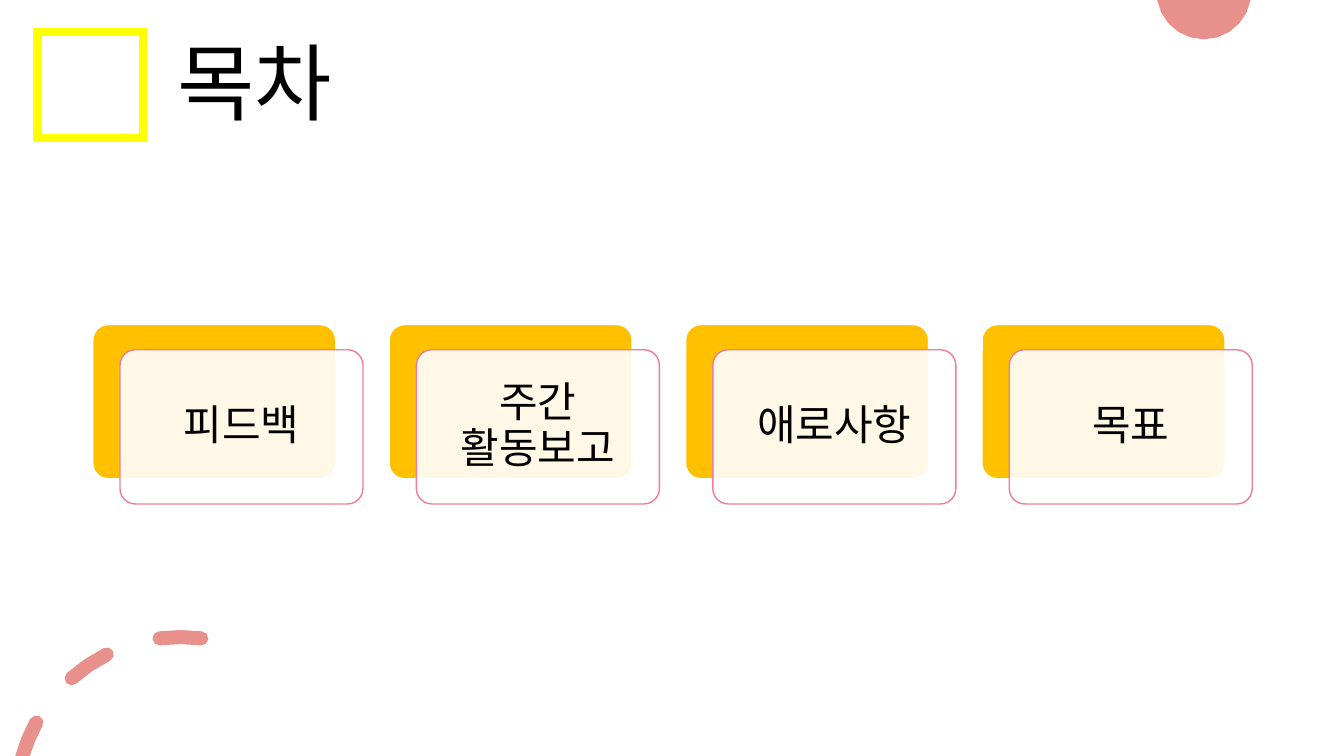
from math import acos, cos, degrees, radians, sin

from lxml.etree import SubElement
from pptx import Presentation
from pptx.dml.color import RGBColor
from pptx.enum.shapes import MSO_SHAPE as Shape
from pptx.enum.text import MSO_ANCHOR as Anchor, MSO_AUTO_SIZE as AutoSize, PP_ALIGN as Align
from pptx.oxml.ns import qn
from pptx.util import Inches, Pt

WIDTH, HEIGHT = 13.33, 7.5
FONT = "Roboto"
COLORS = {
    "coral": "E8908B",
    "gold": "FFC000",
    "pink": "F07C98",
    "yellow": "FFFF00",
    "white": "FFFFFF",
    "black": "000000",
}
TOPICS = ["피드백", "주간 활동보고", "애로사항", "목표"]


def color(name):
    """Return the named palette colour."""
    return RGBColor.from_string(COLORS[name])


def on_circle(center, radius, angle):
    """Return the point at an angle in degrees from the top, anticlockwise."""
    turn = radians(angle)
    return center[0] - radius * sin(turn), center[1] - radius * cos(turn)


def arc(center, radius, start, end, steps):
    """Return evenly spaced points along a circle."""
    return [
        on_circle(center, radius, start + (end - start) * step / steps)
        for step in range(steps + 1)
    ]


def add_ornament(slide, contours):
    """Draw closed contours, given in inches, as one coral shape."""
    contours = [[(Inches(x), Inches(y)) for x, y in contour] for contour in contours]
    builder = slide.shapes.build_freeform(*contours[0][0])
    for index, contour in enumerate(contours):
        if index:
            builder.move_to(*contour[0])
        builder.add_line_segments(contour[1:], close=True)
    ornament = builder.convert_to_shape()
    ornament.shadow.inherit = False
    ornament.fill.solid()
    ornament.fill.fore_color.rgb = color("coral")
    ornament.line.fill.background()


def add_top_disc(slide, center, radius):
    """Draw the part of a disc that hangs below the top edge."""
    edge = degrees(acos(center[1] / radius))
    add_ornament(slide, [arc(center, radius, edge, 360 - edge, 10)])


def cap(center, radius, half, angle, turn):
    """Return the points that round off one end of a dash."""
    return arc(on_circle(center, radius, angle), half, turn + 45, turn + 135, 2)


def add_dashed_ring(slide, center, radius, half):
    """Draw the dashed ring that runs off the bottom edge."""
    outer, inner = radius + half, radius - half
    outer_end, inner_end = (degrees(acos((center[1] - HEIGHT) / r)) for r in (outer, inner))
    dashes = []
    for start, stop_out, stop_in in (
        (-7.3, 7.3, 7.3),
        (26.6, 41.5, 41.5),
        (61.3, outer_end, inner_end),
    ):
        tail = cap(center, radius, half, stop_out, stop_out) if stop_out == stop_in else []
        dashes.append(
            arc(center, outer, start, stop_out, 2)
            + tail
            + arc(center, inner, stop_in, start, 2)
            + cap(center, radius, half, start, start + 180)
        )
    add_ornament(slide, dashes)


def add_text(frame, text, size, align):
    """Write one run of black text."""
    paragraph = frame.paragraphs[0]
    paragraph.alignment = align
    run = paragraph.add_run()
    run.text = text
    run.font.name = FONT
    run.font.size = Pt(size)
    run.font.color.rgb = color("black")
    return paragraph


def add_panel(slide, box, fill, outline):
    """Draw one rounded panel of a card."""
    panel = slide.shapes.add_shape(Shape.ROUNDED_RECTANGLE, *map(Inches, box))
    panel.adjustments[0] = 0.1
    panel.shadow.inherit = False
    panel.fill.solid()
    panel.fill.fore_color.rgb = color(fill)
    panel.line.color.rgb = color(outline)
    panel.line.width = Pt(1)
    return panel


def add_card(slide, box, topic):
    """Draw a gold panel with a translucent labelled panel shifted over it."""
    left, top, width, height = box
    add_panel(slide, box, "gold", "white")
    front = add_panel(slide, (left + 0.27, top + 0.25, width, height), "white", "pink")
    tint = front.fill._xPr.find(qn("a:solidFill"))[0]
    SubElement(tint, qn("a:alpha"), val="90000")
    label = front.text_frame
    label.word_wrap = True
    label.vertical_anchor = Anchor.MIDDLE
    label.margin_left = label.margin_right = Inches(0.15)
    label.margin_top = label.margin_bottom = Inches(0.15)
    add_text(label, topic, 30, Align.CENTER).line_spacing = 0.9


def add_cards(slide, box, topics, card_width):
    """Spread the topic cards evenly over the box."""
    left, top, width, height = box
    pitch = width / len(topics)
    for column, topic in enumerate(topics):
        add_card(slide, (left + column * pitch, top, card_width, height), topic)


def add_heading(slide, box, text):
    """Place the yellow frame and the title beside it."""
    left, top, width, height = box
    side = 1.05
    marker = slide.shapes.add_shape(
        Shape.RECTANGLE, *map(Inches, (left, top + 0.07, side, side))
    )
    marker.shadow.inherit = False
    marker.fill.background()
    marker.line.color.rgb = color("yellow")
    marker.line.width = Pt(6)
    SubElement(marker.line._get_or_add_ln(), qn("a:miter"), lim="800000")
    title = slide.shapes.title
    indent = side + 0.24
    title.left, title.top = Inches(left + indent), Inches(top)
    title.width, title.height = Inches(width - indent), Inches(height)
    title.text_frame.word_wrap = True
    title.text_frame.auto_size = AutoSize.SHAPE_TO_FIT_TEXT
    title.text_frame.vertical_anchor = Anchor.TOP
    add_text(title.text_frame, text, 60, Align.LEFT)


def main():
    """Build and save the contents slide."""
    deck = Presentation()
    deck.slide_width, deck.slide_height = Inches(WIDTH), Inches(HEIGHT)
    slide = deck.slides.add_slide(deck.slide_layouts[5])
    add_top_disc(slide, (11.94, -0.08), 0.47)
    add_dashed_ring(slide, (1.79, 7.95), 1.63, 0.07)
    add_cards(slide, (0.92, 3.22, 11.76, 1.53), TOPICS, 2.41)
    add_heading(slide, (0.37, 0.25, 7.96, 1.11), "목차")
    deck.save("out.pptx")


if __name__ == "__main__":
    main()
